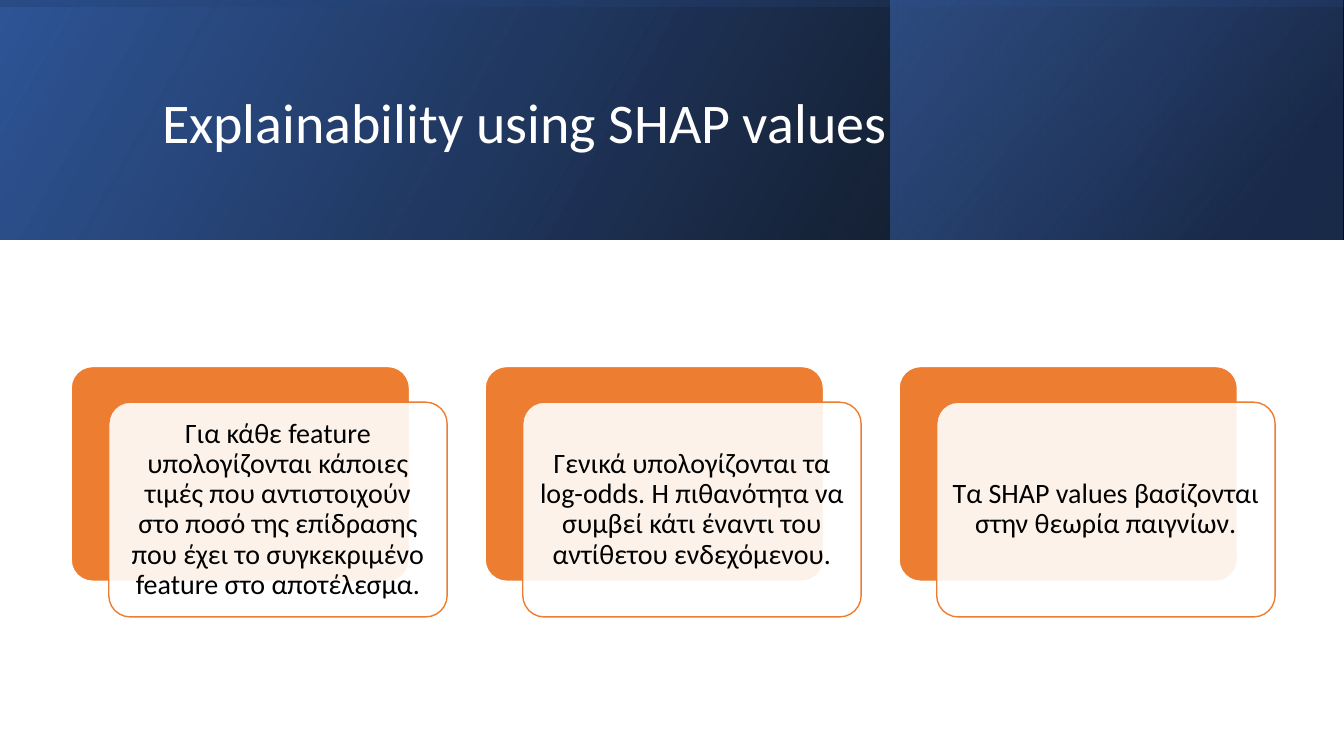
from dataclasses import dataclass

from lxml import etree
from pptx import Presentation
from pptx.dml.color import RGBColor
from pptx.enum.shapes import MSO_SHAPE
from pptx.enum.text import MSO_ANCHOR, PP_ALIGN
from pptx.oxml.ns import qn
from pptx.shapes.autoshape import Shape
from pptx.slide import Slide
from pptx.text.text import TextFrame
from pptx.util import Pt

RECTANGLE = MSO_SHAPE.RECTANGLE
ROUNDED = MSO_SHAPE.ROUNDED_RECTANGLE
MIDDLE = MSO_ANCHOR.MIDDLE
LEFT, CENTER = PP_ALIGN.LEFT, PP_ALIGN.CENTER

FONT = "Calibri"
COLORS = {
    "white": "FFFFFF",
    "black": "000000",
    "navy": "203864",
    "blue": "2F5597",
    "light blue": "4472C4",
    "orange": "ED7D31",
}

# Lengths in points
SLIDE_WIDTH, SLIDE_HEIGHT = 960, 540
BANNER_HEIGHT = 170.9
CARD_LEFT, CARD_TOP, CARD_PITCH = 50.8, 261.8, 295.7
CARD_WIDTH, CARD_HEIGHT = 241.7, 153.4
PANEL_SHIFT_X, PANEL_SHIFT_Y = 26.9, 25.5
PANEL_INSET = 6


@dataclass(frozen=True)
class Box:
    left: float
    top: float
    width: float
    height: float


@dataclass(frozen=True)
class Stop:
    position: float
    color: str
    opacity: int


@dataclass(frozen=True)
class BannerLayer:
    box: Box
    angle: float  # counter-clockwise degrees
    stops: tuple[Stop, Stop]
    rotation: float = 0


BANNER_LAYERS = (
    BannerLayer(Box(0, 0, SLIDE_WIDTH, BANNER_HEIGHT), 30,
                (Stop(0, "black", 96), Stop(1, "blue", 100))),
    BannerLayer(Box(636.2, 0, 323, BANNER_HEIGHT), 40,
                (Stop(0.19, "navy", 68), Stop(1, "light blue", 48))),
    # Stands upright before it is turned to lie over the whole banner
    BannerLayer(Box((SLIDE_WIDTH - BANNER_HEIGHT) / 2, (BANNER_HEIGHT - SLIDE_WIDTH) / 2,
                    BANNER_HEIGHT, SLIDE_WIDTH), 10,
                (Stop(0.23, "blue", 16), Stop(0.99, "black", 45)), rotation=270),
)

TITLE = "Explainability using SHAP values"
CARD_TEXTS = (
    "Για κάθε feature υπολογίζονται κάποιες τιμές που αντιστοιχούν στο ποσό της "
    "επίδρασης που έχει το συγκεκριμένο feature στο αποτέλεσμα.",
    "Γενικά υπολογίζονται τα log-odds. Η πιθανότητα να συμβεί κάτι έναντι του "
    "αντίθετου ενδεχόμενου.",
    "Τα SHAP values βασίζονται στην θεωρία παιγνίων.",
)


def color(name: str) -> RGBColor:
    return RGBColor.from_string(COLORS[name])


def set_opacity(shape: Shape, opacities: list[int]) -> None:
    """Give the shape's fill colours, in order, their opacity in percent."""
    elements = list(shape.element.spPr.iter(qn("a:srgbClr")))
    for element, opacity in zip(elements, opacities):
        etree.SubElement(element, qn("a:alpha")).set("val", str(opacity * 1000))


def add_shape(slide: Slide, kind: MSO_SHAPE, box: Box) -> Shape:
    shape = slide.shapes.add_shape(
        kind, Pt(box.left), Pt(box.top), Pt(box.width), Pt(box.height))
    shape.shadow.inherit = False
    return shape


def add_banner_layer(slide: Slide, layer: BannerLayer) -> None:
    shape = add_shape(slide, RECTANGLE, layer.box)
    shape.rotation = layer.rotation
    shape.element.spPr.find(qn("a:xfrm")).set("flipH", "1")
    shape.line.fill.background()
    shape.fill.gradient()
    shape.fill.gradient_angle = layer.angle
    for gradient_stop, stop in zip(shape.fill.gradient_stops, layer.stops):
        gradient_stop.position = stop.position
        gradient_stop.color.rgb = color(stop.color)
    set_opacity(shape, [stop.opacity for stop in layer.stops])


def write(frame: TextFrame, text: str, size: float, color_name: str,
          alignment: PP_ALIGN) -> None:
    frame.word_wrap = True
    frame.vertical_anchor = MIDDLE
    frame.text = text
    paragraph = frame.paragraphs[0]
    paragraph.alignment = alignment
    paragraph.line_spacing = 0.9
    font = paragraph.runs[0].font
    font.name = FONT
    font.size = Pt(size)
    font.color.rgb = color(color_name)


def add_rounded(slide: Slide, box: Box, fill: str, line: str) -> Shape:
    shape = add_shape(slide, ROUNDED, box)
    shape.adjustments[0] = 0.1
    shape.fill.solid()
    shape.fill.fore_color.rgb = color(fill)
    shape.line.color.rgb = color(line)
    shape.line.width = Pt(1)
    return shape


def add_card(slide: Slide, left: float, text: str) -> None:
    add_rounded(slide, Box(left, CARD_TOP, CARD_WIDTH, CARD_HEIGHT), "orange", "white")
    panel_box = Box(left + PANEL_SHIFT_X, CARD_TOP + PANEL_SHIFT_Y, CARD_WIDTH, CARD_HEIGHT)
    panel = add_rounded(slide, panel_box, "white", "orange")
    set_opacity(panel, [90])
    frame = panel.text_frame
    frame.margin_left = frame.margin_right = Pt(PANEL_INSET)
    frame.margin_top = frame.margin_bottom = Pt(PANEL_INSET)
    write(frame, text, 20, "black", CENTER)


def main() -> None:
    presentation = Presentation()
    presentation.slide_width = Pt(SLIDE_WIDTH)
    presentation.slide_height = Pt(SLIDE_HEIGHT)
    slide = presentation.slides.add_slide(presentation.slide_layouts[6])

    # Banner and title
    for layer in BANNER_LAYERS:
        add_banner_layer(slide, layer)
    title = slide.shapes.add_textbox(Pt(108.7), Pt(27.4), Pt(765.4), Pt(123.8))
    write(title.text_frame, TITLE, 40, "white", LEFT)

    # Cards
    for index, text in enumerate(CARD_TEXTS):
        add_card(slide, CARD_LEFT + index * CARD_PITCH, text)

    presentation.save("out.pptx")


if __name__ == "__main__":
    main()
